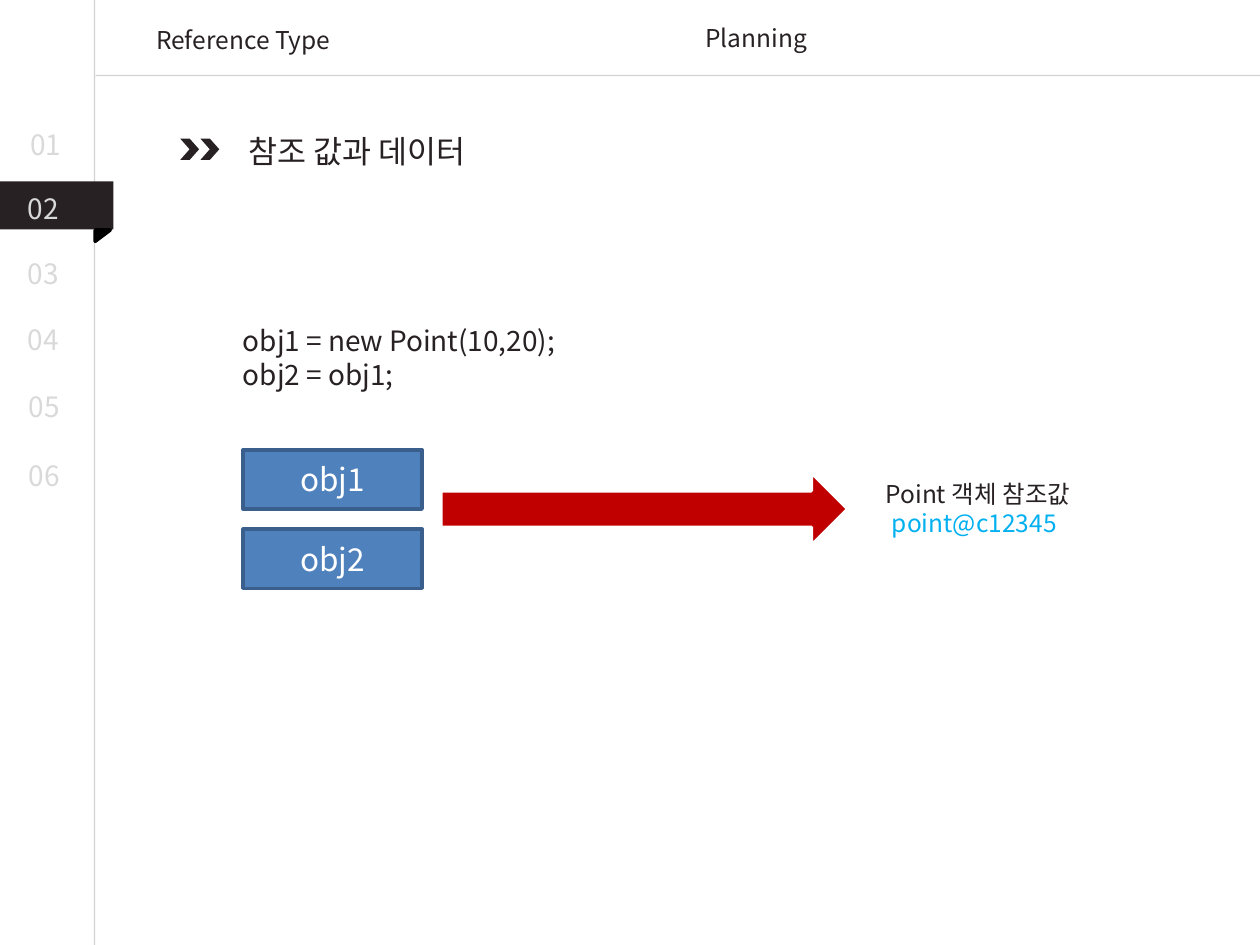
from lxml import etree
from pptx import Presentation
from pptx.dml.color import RGBColor
from pptx.enum.shapes import MSO_CONNECTOR, MSO_SHAPE
from pptx.enum.text import MSO_ANCHOR, MSO_AUTO_SIZE, PP_ALIGN
from pptx.oxml.ns import qn
from pptx.util import Inches, Pt

STRAIGHT = MSO_CONNECTOR.STRAIGHT
RECTANGLE = MSO_SHAPE.RECTANGLE
CHEVRON = MSO_SHAPE.CHEVRON
RIGHT_ARROW = MSO_SHAPE.RIGHT_ARROW
RIGHT_TRIANGLE = MSO_SHAPE.RIGHT_TRIANGLE
TOP, MIDDLE = MSO_ANCHOR.TOP, MSO_ANCHOR.MIDDLE
LEFT, CENTER = PP_ALIGN.LEFT, PP_ALIGN.CENTER
NO_AUTO_SIZE = MSO_AUTO_SIZE.NONE

FONT = "Noto Sans CJK KR"
COLORS = {
    "ink": "272123",
    "muted": "D9D9D9",
    "rule": "A6A6A6",
    "box": "4F81BD",
    "box_line": "3A5F8C",
    "arrow": "C00000",
    "address": "00B0F0",
    "white": "FFFFFF",
    "black": "000000",
}


def color(name):
    return RGBColor.from_string(COLORS[name])


def format_text(text_frame, size, color_name, alignment=LEFT):
    for paragraph in text_frame.paragraphs:
        paragraph.alignment = alignment
        for run in paragraph.runs:
            run.font.name = FONT
            run.font.size = Pt(size)
            run.font.color.rgb = color(color_name)
            east_asian = etree.SubElement(run.font._element, qn("a:ea"))
            east_asian.set("typeface", FONT)


def add_text(slide, text, left, top, width, height, size, color_name="ink"):
    text_box = slide.shapes.add_textbox(
        Inches(left), Inches(top), Inches(width), Inches(height))
    text_frame = text_box.text_frame
    text_frame.word_wrap = True
    text_frame.text = text
    format_text(text_frame, size, color_name)
    return text_frame


def indent_first_line(paragraph, indent):
    properties = paragraph._p.get_or_add_pPr()
    properties.set("marL", "0")
    properties.set("indent", str(Inches(indent)))


def add_rule(slide, left, top, right, bottom):
    connector = slide.shapes.add_connector(
        STRAIGHT, Inches(left), Inches(top), Inches(right), Inches(bottom))
    connector.line.color.rgb = color("rule")
    connector.line.width = Pt(0.75)
    properties = connector._element.spPr
    rule_color = properties.find(".//" + qn("a:srgbClr"))
    etree.SubElement(rule_color, qn("a:alpha")).set("val", "50000")
    etree.SubElement(properties, qn("a:effectLst"))


def add_shape(slide, kind, left, top, width, height, fill, line=None):
    shape = slide.shapes.add_shape(
        kind, Inches(left), Inches(top), Inches(width), Inches(height))
    shape.shadow.inherit = False
    shape.fill.solid()
    shape.fill.fore_color.rgb = color(fill)
    if line:
        shape.line.color.rgb = color(line)
        shape.line.width = Pt(2)
    else:
        shape.line.fill.background()
    return shape


def set_title(slide, text):
    title = slide.shapes.title
    title.left, title.top = Inches(1.87), Inches(1)
    title.width, title.height = Inches(3.26), Inches(0.4)
    text_frame = title.text_frame
    text_frame.text = text
    text_frame.word_wrap = True
    text_frame.auto_size = NO_AUTO_SIZE
    text_frame.vertical_anchor = TOP
    format_text(text_frame, 18, "ink")


def add_navigation(slide):
    add_shape(slide, RECTANGLE, 0, 1.44, 0.9, 0.38, "ink")
    fold = add_shape(slide, RIGHT_TRIANGLE, 0.77, 1.81, 0.09, 0.12, "black", "black")
    fold.rotation = 90
    positions = [(0.14, 0.96), (0.12, 1.47), (0.12, 1.99),
                 (0.12, 2.51), (0.13, 3.04), (0.13, 3.59)]
    for number, (left, top) in enumerate(positions, 1):
        add_text(slide, f"{number:02d}", left, top, 0.49, 0.37, 16, "muted")


def add_diagram(slide):
    for index, name in enumerate(("obj1", "obj2")):
        box = add_shape(slide, RECTANGLE, 1.93, 3.57 + index * 0.63, 1.42, 0.47,
                        "box", "box_line")
        box.text_frame.text = name
        box.text_frame.vertical_anchor = MIDDLE
        format_text(box.text_frame, 18, "white", CENTER)
    add_shape(slide, RIGHT_ARROW, 3.5, 3.75, 3.23, 0.58, "arrow", "white")

    target = add_text(slide, "Point 객체 참조값\npoint@c12345",
                      6.89, 3.75, 1.73, 0.57, 14)
    description, address = target.paragraphs
    indent_first_line(description, 0.04)
    indent_first_line(address, 0.09)
    address.runs[0].font.color.rgb = color("address")


def main():
    presentation = Presentation()
    presentation.slide_width = Inches(10)
    presentation.slide_height = Inches(7.5)
    slide = presentation.slides.add_slide(presentation.slide_layouts[5])

    add_rule(slide, 0.75, 0, 0.75, 7.5)
    add_rule(slide, 0.76, 0.6, 10, 0.6)
    add_text(slide, "Reference Type", 1.14, 0.15, 3.7, 0.34, 14)
    add_text(slide, "Planning", 5.5, 0.13, 1.06, 0.34, 14)

    set_title(slide, "참조 값과 데이터")
    for left in (1.43, 1.59):
        add_shape(slide, CHEVRON, left, 1.1, 0.15, 0.17, "ink")

    code = add_text(slide, "obj1 = new Point(10,20);\nobj2 = obj1;",
                    1.78, 2.52, 8.2, 0.64, 16)
    for paragraph in code.paragraphs:
        indent_first_line(paragraph, 0.05)

    add_diagram(slide)
    add_navigation(slide)
    presentation.save("out.pptx")


main()
